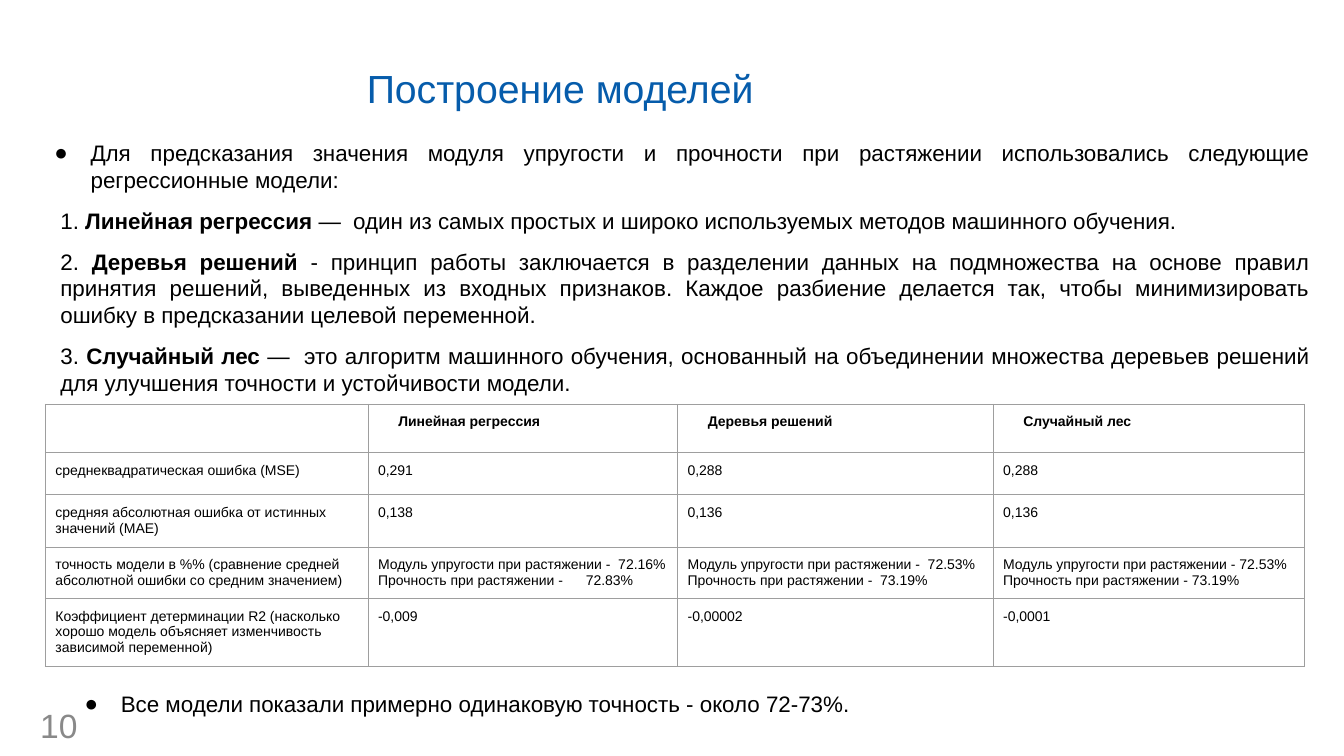
from dataclasses import dataclass
from lxml.etree import SubElement
from pptx import Presentation
from pptx.dml.color import RGBColor
from pptx.enum.text import MSO_ANCHOR, PP_ALIGN
from pptx.oxml.ns import qn
from pptx.util import Inches, Pt

FONT = "Arial"
BLACK = RGBColor(0x00, 0x00, 0x00)
WHITE = RGBColor(0xFF, 0xFF, 0xFF)
BLUE = RGBColor(0x06, 0x5C, 0xAB)
GRAY = RGBColor(0x89, 0x89, 0x89)
BORDER = RGBColor(0x9E, 0x9E, 0x9E)


@dataclass(frozen=True)
class Span:
    text: str
    bold: bool = False


@dataclass(frozen=True)
class Item:
    spans: tuple[Span, ...]
    bullet: bool = False


@dataclass(frozen=True)
class TextBlock:
    left: float
    top: float
    width: float
    height: float
    items: tuple[Item, ...]


MODELS = TextBlock(0.3, 1.33, 12.79, 2.59, (
    Item((Span("Для предсказания значения модуля упругости и прочности при растяжении "
               "использовались следующие регрессионные модели: "),), bullet=True),
    Item((Span("1."), Span(" Линейная регрессия ", True),
          Span("—  один из самых простых и широко используемых методов машинного обучения. "))),
    Item((Span("2. "), Span("Деревья решений", True),
          Span(" - принцип работы заключается в разделении данных на подмножества на основе "
               "правил принятия решений, выведенных из входных признаков. Каждое разбиение "
               "делается так, чтобы минимизировать ошибку в предсказании целевой переменной."))),
    Item((Span("3. "), Span("Случайный лес ", True),
          Span("—  это алгоритм машинного обучения, основанный на объединении множества "
               "деревьев решений для улучшения точности и устойчивости модели."))),
))
CONCLUSION = TextBlock(0.6, 6.8, 8.81, 0.48, (
    Item((Span("Все модели показали примерно одинаковую точность - около 72-73%."),), bullet=True),
))

COLUMN_WIDTHS = (3.2, 3.07, 3.13, 3.09)
ROW_HEIGHTS = (0.48, 0.42, 0.52, 0.51, 0.66)
METRICS = (
    ("", "Линейная регрессия", "Деревья решений", "Случайный лес "),
    ("cреднеквадратическая ошибка (MSE)", "0,291", "0,288", "0,288"),
    ("средняя абсолютная ошибка от истинных значений (MAE)", "0,138", "0,136", "0,136"),
    ("точность модели в %% (сравнение средней абсолютной ошибки со средним значением)",
     "Модуль упругости при растяжении -  72.16%\nПрочность при растяжении -\t72.83%",
     "Модуль упругости при растяжении -  72.53%\nПрочность при растяжении -  73.19%",
     "Модуль упругости при растяжении - 72.53%\nПрочность при растяжении - 73.19%"),
    ("Коэффициент детерминации R2 (насколько хорошо модель объясняет изменчивость "
     "зависимой переменной)", "-0,009", "-0,00002", "-0,0001"),
)


def add_span(para, text: str, size: float, color: RGBColor, bold: bool = False) -> None:
    span = para.add_run()
    span.text = text
    span.font.name = FONT
    span.font.size = Pt(size)
    span.font.bold = bold
    span.font.color.rgb = color


def set_indent(para, left: float, first: float = 0) -> None:
    properties = para._p.get_or_add_pPr()
    properties.set("marL", str(Inches(left)))
    properties.set("indent", str(Inches(first)))


def add_bullet(para) -> None:
    properties = para._p.get_or_add_pPr()
    color = SubElement(properties, qn("a:buClr"))
    SubElement(color, qn("a:srgbClr"), val=str(BLACK))
    SubElement(properties, qn("a:buFont"), typeface=FONT)
    SubElement(properties, qn("a:buChar"), char="●")


def add_tab_stop(para, position: float) -> None:
    stops = SubElement(para._p.get_or_add_pPr(), qn("a:tabLst"))
    SubElement(stops, qn("a:tab"), pos=str(Inches(position)), algn="l")


def add_text_block(page, block: TextBlock) -> None:
    box = page.shapes.add_textbox(Inches(block.left), Inches(block.top),
                                  Inches(block.width), Inches(block.height))
    frame = box.text_frame
    frame.word_wrap = True
    for index, item in enumerate(block.items):
        para = frame.add_paragraph() if index else frame.paragraphs[0]
        if item.bullet:
            set_indent(para, 0.5, -0.36)
            add_bullet(para)
        else:
            set_indent(para, 0.2)
        para.alignment = PP_ALIGN.JUSTIFY
        if index:
            para.space_before = Pt(10)
        for span in item.spans:
            add_span(para, span.text, 16, BLACK, span.bold)


def format_cell(cell) -> None:
    properties = cell._tc.get_or_add_tcPr()
    for side in ("lnL", "lnR", "lnT", "lnB"):
        line = SubElement(properties, qn(f"a:{side}"), w=str(Pt(0.75)))
        fill = SubElement(line, qn("a:solidFill"))
        SubElement(fill, qn("a:srgbClr"), val=str(BORDER))
    cell.fill.background()


def fill_cell(cell, text: str, header: bool) -> None:
    cell.margin_left = cell.margin_right = cell.margin_top = Inches(0.1)
    cell.margin_bottom = Inches(0.07)
    frame = cell.text_frame
    for index, line in enumerate(text.split("\n")):
        para = frame.add_paragraph() if index else frame.paragraphs[0]
        if "\t" in line:
            add_tab_stop(para, 2.06)
        if header:
            set_indent(para, 0.2)
            para.alignment = PP_ALIGN.JUSTIFY
        add_span(para, line, 10, BLACK, header)


def add_metrics_table(page) -> None:
    table = page.shapes.add_table(
        len(METRICS), len(COLUMN_WIDTHS), Inches(0.45), Inches(4.01),
        Inches(sum(COLUMN_WIDTHS)), Inches(sum(ROW_HEIGHTS))).table
    table.first_row = False
    table.horz_banding = False
    for column, width in zip(table.columns, COLUMN_WIDTHS):
        column.width = Inches(width)
    for row_index, (row, height) in enumerate(zip(table.rows, ROW_HEIGHTS)):
        row.height = Inches(height)
        for cell, text in zip(row.cells, METRICS[row_index]):
            format_cell(cell)
            if text:
                fill_cell(cell, text, header=row_index == 0)


def add_title(page) -> None:
    title = page.shapes.title
    title.left, title.top = Inches(3.46), Inches(0.51)
    title.width, title.height = Inches(4.19), Inches(0.73)
    title.fill.solid()
    title.fill.fore_color.rgb = WHITE
    title.line.color.rgb = WHITE
    title.line.width = Pt(2)
    frame = title.text_frame
    frame.word_wrap = True
    frame.vertical_anchor = MSO_ANCHOR.MIDDLE
    para = frame.paragraphs[0]
    para.alignment = PP_ALIGN.CENTER
    add_span(para, "Построение моделей", 28, BLUE)


def add_page_number(page) -> None:
    box = page.shapes.add_textbox(Inches(0.3), Inches(7.04), Inches(0.62), Inches(0.3))
    frame = box.text_frame
    frame.word_wrap = True
    frame.vertical_anchor = MSO_ANCHOR.MIDDLE
    add_span(frame.paragraphs[0], "10", 24, GRAY)


def main() -> None:
    deck = Presentation()
    deck.slide_width, deck.slide_height = Inches(13.33), Inches(7.5)
    page = deck.slides.add_slide(deck.slide_layouts[5])

    # Heading and page number
    add_title(page)
    add_page_number(page)

    # Models, their metrics and the conclusion
    add_text_block(page, MODELS)
    add_metrics_table(page)
    add_text_block(page, CONCLUSION)

    deck.save("out.pptx")


if __name__ == "__main__":
    main()
